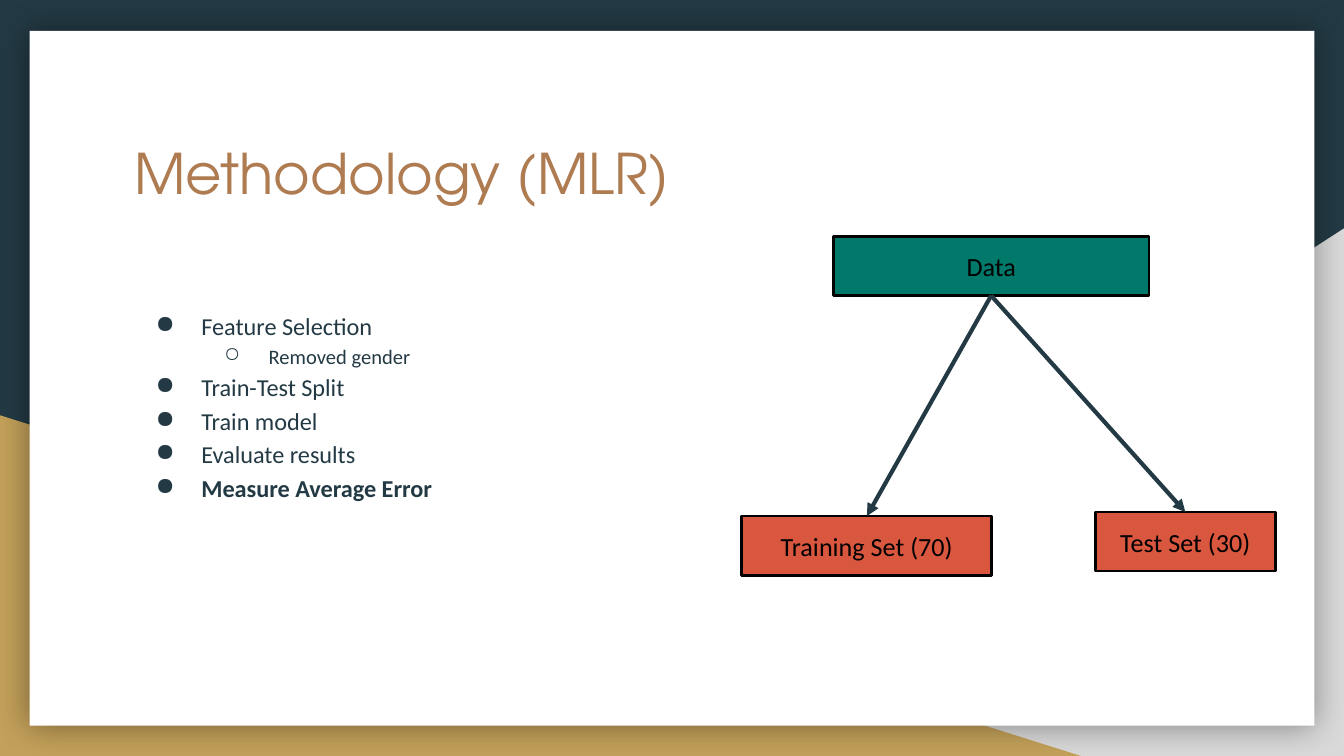
"""Build the Methodology (MLR) slide with a data split diagram."""
from lxml.etree import SubElement
from pptx import Presentation
from pptx.dml.color import RGBColor
from pptx.enum.shapes import MSO_CONNECTOR, MSO_SHAPE
from pptx.enum.text import MSO_ANCHOR, PP_ALIGN
from pptx.oxml.ns import qn
from pptx.util import Inches, Pt

NAVY = RGBColor(0x23, 0x3A, 0x44)
GREY = RGBColor(0xD9, 0xD9, 0xD9)
GOLD = RGBColor(0xC4, 0xA1, 0x5A)
WHITE = RGBColor(0xFF, 0xFF, 0xFF)
BLACK = RGBColor(0x00, 0x00, 0x00)
BROWN = RGBColor(0xAF, 0x7B, 0x51)
RED = RGBColor(0xD9, 0x56, 0x3F)
GREEN = RGBColor(0x00, 0x79, 0x6B)


def write(frame, text, size, color, font="Calibri", bold=False, align=PP_ALIGN.LEFT,
          anchor=MSO_ANCHOR.TOP):
    frame.word_wrap = True
    frame.vertical_anchor = anchor
    frame.margin_left = frame.margin_right = Inches(0.1)
    frame.margin_top = frame.margin_bottom = Inches(0.1)
    paragraph = frame.paragraphs[0]
    if paragraph.runs:
        paragraph = frame.add_paragraph()
    paragraph.alignment = align
    run = paragraph.add_run()
    run.text = text
    run.font.size = Pt(size)
    run.font.name = font
    run.font.bold = bold
    run.font.color.rgb = color
    return paragraph


def add_filled(kind, box, fill):
    shape = slide.shapes.add_shape(kind, *map(Inches, box))
    shape.shadow.inherit = False
    shape.fill.solid()
    shape.fill.fore_color.rgb = fill
    shape.line.fill.background()
    return shape


prs = Presentation()
prs.slide_width = Inches(10)
prs.slide_height = prs.slide_width * 9 // 16
slide = prs.slides.add_slide(prs.slide_layouts[6])
slide.background.fill.solid()
slide.background.fill.fore_color.rgb = NAVY

grey_corner = add_filled(MSO_SHAPE.RIGHT_TRIANGLE, (3.92, 1.7, 6.08, 3.93), GREY)
grey_corner.element.spPr.xfrm.set("flipH", "1")
add_filled(MSO_SHAPE.RIGHT_TRIANGLE, (0, 3.09, 8.06, 2.54), GOLD)
card = add_filled(MSO_SHAPE.RECTANGLE, (0.22, 0.23, 9.56, 5.17), WHITE)
effects = card.element.spPr.find(qn("a:effectLst"))
glow = SubElement(effects, qn("a:outerShdw"), blurRad=str(Pt(18)), dist="0", dir="0",
                  algn="ctr", rotWithShape="0")
glow_color = SubElement(glow, qn("a:srgbClr"), val=str(BLACK))
SubElement(glow_color, qn("a:alpha"), val="40000")

title = slide.shapes.add_textbox(Inches(0.9), Inches(0.93), Inches(8.21), Inches(1.04))
write(title.text_frame, "Methodology (MLR)", 30, BROWN, font="TeX Gyre Adventor")

steps = slide.shapes.add_textbox(Inches(0.9), Inches(2.18), Inches(4.65), Inches(2.68))
for text, level, bold in [
    ("Feature Selection", 0, False),
    ("Removed gender", 1, False),
    ("Train-Test Split", 0, False),
    ("Train model", 0, False),
    ("Evaluate results", 0, False),
    ("Measure Average Error", 0, True),
]:
    step = write(steps.text_frame, text, (13, 11)[level], NAVY, bold=bold)
    step.level = level
    step.line_spacing = 1.15
    properties = step._p.get_or_add_pPr()
    properties.set("marL", str(Inches((0.5, 1)[level])))
    properties.set("indent", str(Inches((-0.34, -0.33)[level])))
    bullet_color = SubElement(properties, qn("a:buClr"))
    SubElement(bullet_color, qn("a:srgbClr"), val=str(NAVY))
    SubElement(properties, qn("a:buChar"), char="●○"[level])

nodes = []
for text, left, top, width, fill in [
    ("Training Set (70)", 5.52, 3.84, 1.86, RED),
    ("Data", 6.2, 1.76, 2.35, GREEN),
    ("Test Set (30)", 8.15, 3.81, 1.34, RED),
]:
    node = add_filled(MSO_SHAPE.RECTANGLE, (left, top, width, 0.44), fill)
    node.line.color.rgb = BLACK
    node.line.width = Pt(1.5)
    write(node.text_frame, text, 14, BLACK, align=PP_ALIGN.CENTER, anchor=MSO_ANCHOR.MIDDLE)
    nodes.append(node)

training, data, test = nodes
for subset in (training, test):
    arrow = slide.shapes.add_connector(MSO_CONNECTOR.STRAIGHT, 0, 0, 0, 0)
    arrow.begin_connect(data, 2)
    arrow.end_connect(subset, 0)
    arrow.line.color.rgb = NAVY
    arrow.line.width = Pt(2.25)
    arrow_properties = arrow.element.spPr
    SubElement(arrow_properties.find(qn("a:ln")), qn("a:tailEnd"), type="triangle")
    SubElement(arrow_properties, qn("a:effectLst"))

prs.save("out.pptx")
